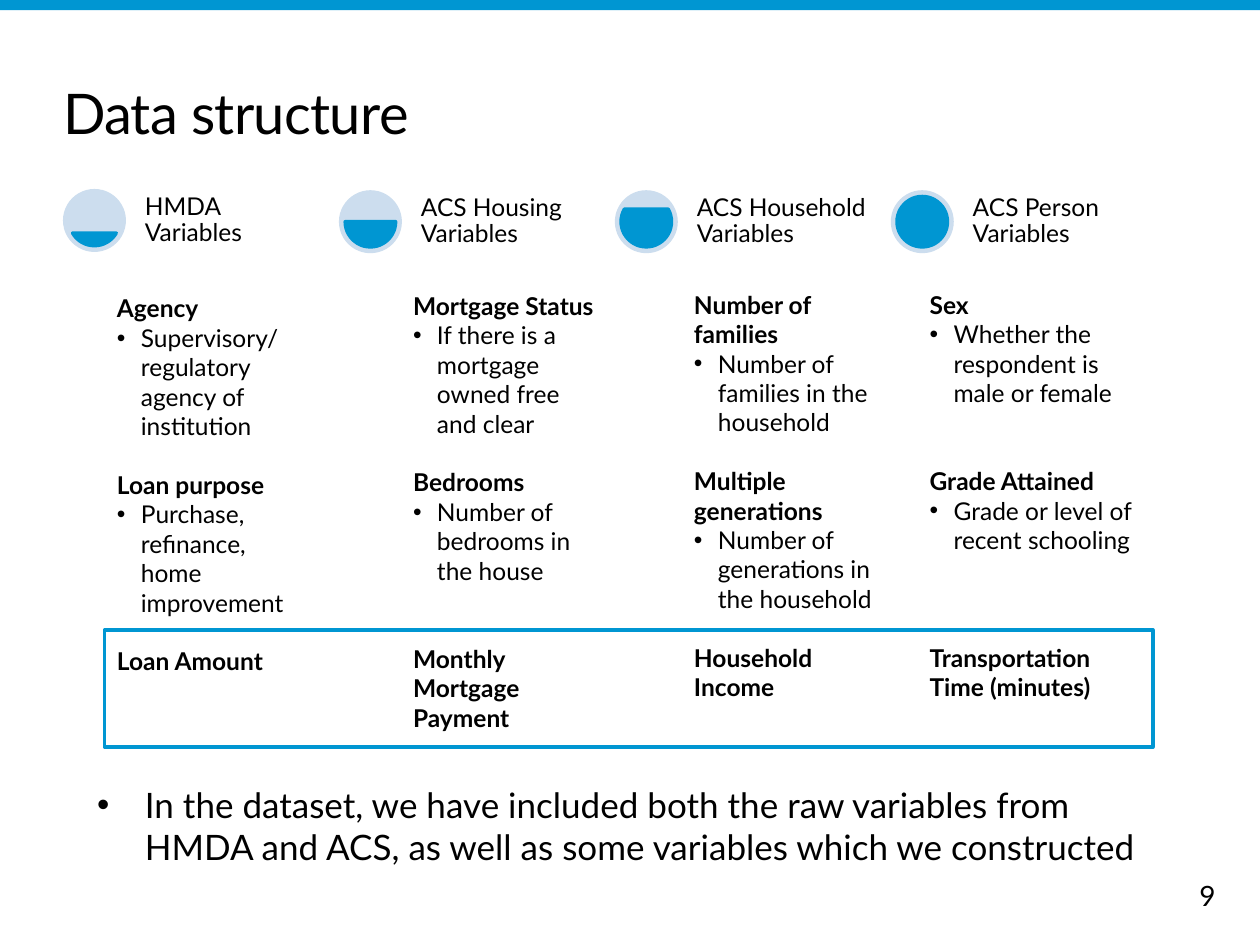
from pptx import Presentation
from pptx.dml.color import RGBColor
from pptx.enum.shapes import MSO_SHAPE
from pptx.enum.text import MSO_ANCHOR, MSO_AUTO_SIZE, PP_ALIGN
from pptx.oxml.ns import qn
from pptx.util import Inches, Pt
from lxml import etree

RECT, OVAL, CHORD = MSO_SHAPE.RECTANGLE, MSO_SHAPE.OVAL, MSO_SHAPE.CHORD
TOP, MIDDLE, BOTTOM = MSO_ANCHOR.TOP, MSO_ANCHOR.MIDDLE, MSO_ANCHOR.BOTTOM
LEFT, NO_FIT = PP_ALIGN.LEFT, MSO_AUTO_SIZE.NONE
COLORS = {"accent": "0096D2", "pale": "CCDDEE", "text": "000000"}
FONT = "Lato"
LINE_HEIGHT = 16.8
PITCH = 2.19

GAUGES = [
    ("HMDA Variables", 1.5, (18, 90)),
    ("ACS Housing Variables", 1.51, (0, 108)),
    ("ACS Household Variables", 1.51, (198, 126)),
    ("ACS Person Variables", 1.51, (162, 162)),
]

COLUMNS = [
    ((0.83, 2.28, 1.67, 3.65), [
        ("Agency", "Supervisory/regulatory agency of institution", 0),
        ("Loan purpose", "Purchase, refinance, home improvement", 1),
        ("Loan Amount", None, 1)]),
    ((3.18, 2.26, 1.67, 4.12), [
        ("Mortgage Status", "If there is a mortgage owned free and clear", 0),
        ("Bedrooms", "Number of bedrooms in the house", 1),
        ("Monthly Mortgage Payment", None, 2)]),
    ((5.41, 2.25, 1.67, 3.89), [
        ("Number of families", "Number of families in the household", 0),
        ("Multiple generations", "Number of generations in the household", 1),
        ("Household Income", None, 1)]),
    ((7.28, 2.25, 1.84, 3.72), [
        ("Sex", "Whether the respondent is male or female", 0),
        ("Grade Attained", "Grade or level of recent schooling", 2),
        ("Transportation Time (minutes)", None, 3)]),
]


class SlideBuilder:
    """Holds the style and the current slide, and draws each kind of element."""

    def __init__(self, prs):
        self.s = prs.slides.add_slide(prs.slide_layouts[1])

    def color(self, name):
        return RGBColor.from_string(COLORS[name])

    def place(self, sp, box):
        sp.left, sp.top, sp.width, sp.height = map(Inches, box)

    def frame(self, sp, inset=None, anchor=TOP):
        tf = sp.text_frame
        tf.word_wrap = True
        tf.auto_size = NO_FIT
        tf.vertical_anchor = anchor
        if inset is not None:
            tf.margin_left = tf.margin_right = Inches(inset)
            tf.margin_top = tf.margin_bottom = Inches(inset)
        return tf

    def fill_paragraph(self, p, text, size, bold=False, before=0):
        p.text = text
        p.alignment = LEFT
        p.space_before = Pt(before)
        for r in p.runs:
            r.font.name, r.font.size, r.font.bold = FONT, Pt(size), bold
            r.font.color.rgb = self.color("text")

    def bullet(self, p, indent):
        pPr = p._p.get_or_add_pPr()
        pPr.set("marL", str(Inches(indent)))
        pPr.set("indent", str(-Inches(indent)))
        etree.SubElement(pPr, qn("a:buFont")).set("typeface", "Arial")
        etree.SubElement(pPr, qn("a:buChar")).set("char", "•")

    def shape(self, kind, box, fill=None, line=None):
        sp = self.s.shapes.add_shape(kind, *map(Inches, box))
        sp.shadow.inherit = False
        if fill:
            sp.fill.solid()
            sp.fill.fore_color.rgb = self.color(fill)
        else:
            sp.fill.background()
        if line:
            sp.line.color.rgb = self.color(line)
            sp.line.width = Pt(2)
        else:
            sp.line.fill.background()
        return sp

    def title(self, text, box):
        sp = self.s.shapes.title
        self.place(sp, box)
        p = self.frame(sp, 0, MIDDLE).paragraphs[0]
        self.fill_paragraph(p, text, 32)
        p.runs[0].font._element.set("spc", "-40")

    def body(self, text, box):
        sp = self.s.placeholders[1]
        self.place(sp, box)
        p = self.frame(sp).paragraphs[0]
        self.fill_paragraph(p, text, 20)
        self.bullet(p, 0.38)

    def text(self, text, box, size, inset=None, anchor=TOP, spacing=1.0):
        tf = self.frame(self.s.shapes.add_textbox(*map(Inches, box)), inset, anchor)
        p = tf.paragraphs[0]
        self.fill_paragraph(p, text, size)
        p.line_spacing = spacing

    def gauge(self, label, x, y, angles):
        self.shape(OVAL, (x, y, 0.5, 0.5), "pale")
        level = self.shape(CHORD, (x + 0.05, y + 0.05, 0.4, 0.4), "accent", "accent")
        level.adjustments[0], level.adjustments[1] = angles
        self.text(label, (x + 0.61, y, 1.48, 0.5), 14, 0.04, BOTTOM, 0.9)

    def column(self, box, entries):
        tf = self.frame(self.s.shapes.add_textbox(*map(Inches, box)))
        p = tf.paragraphs[0]
        for i, (heading, detail, gap) in enumerate(entries):
            if i:
                p = tf.add_paragraph()
            self.fill_paragraph(p, heading, 14, True, gap * LINE_HEIGHT)
            if detail:
                p = tf.add_paragraph()
                self.fill_paragraph(p, detail, 14)
                self.bullet(p, 0.19)


def main():
    prs = Presentation()
    prs.slide_width, prs.slide_height = Inches(10), Inches(7.5)
    b = SlideBuilder(prs)
    b.shape(RECT, (0, 0, 10, 0.08), "accent")
    b.title("Data structure", (0.5, 0.58, 9, 0.62))
    for i, (label, y, angles) in enumerate(GAUGES):
        b.gauge(label, 0.5 + i * PITCH, y, angles)
    for box, entries in COLUMNS:
        b.column(box, entries)
    b.body("In the dataset, we have included both the raw variables from HMDA "
           "and ACS, as well as some variables which we constructed",
           (0.67, 6.17, 8.48, 0.77))
    b.text("9", (9.42, 6.92, 0.5, 0.37), 16)
    b.shape(RECT, (0.83, 5, 8.32, 0.93), line="accent")
    prs.save("out.pptx")


if __name__ == "__main__":
    main()
